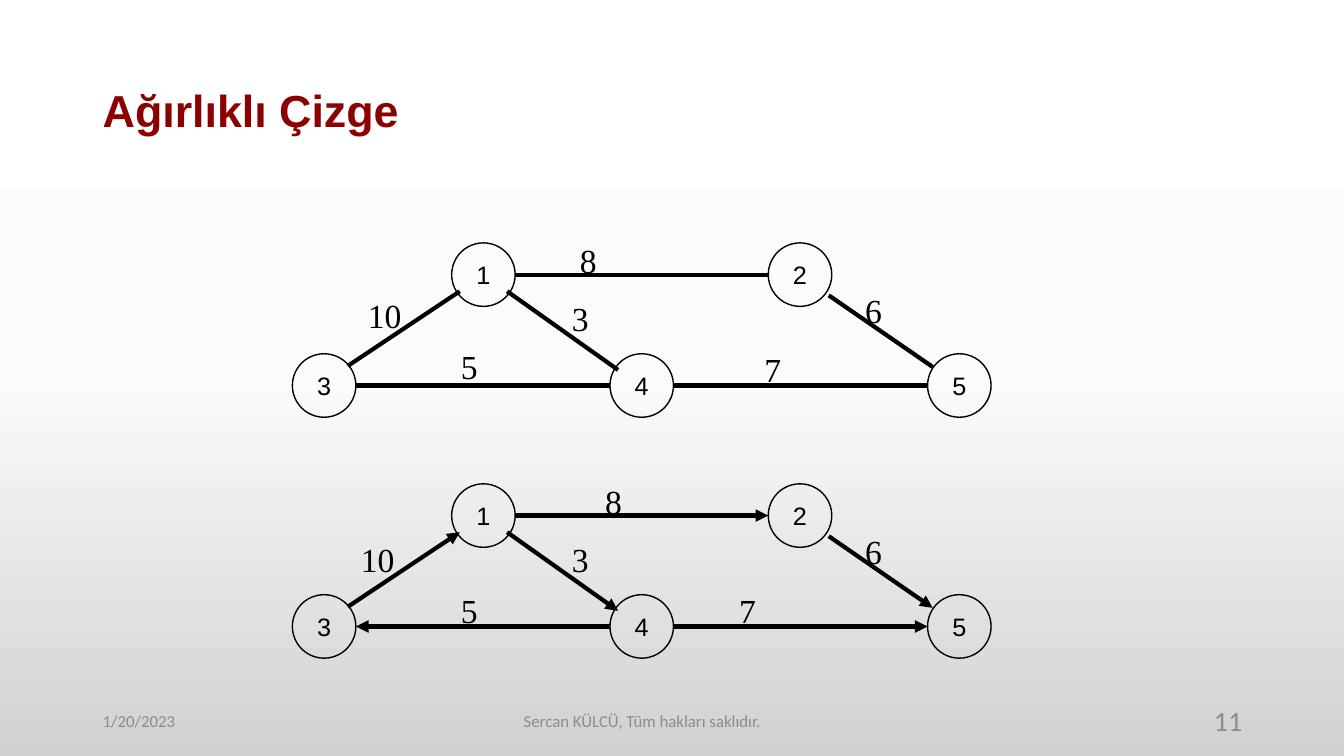
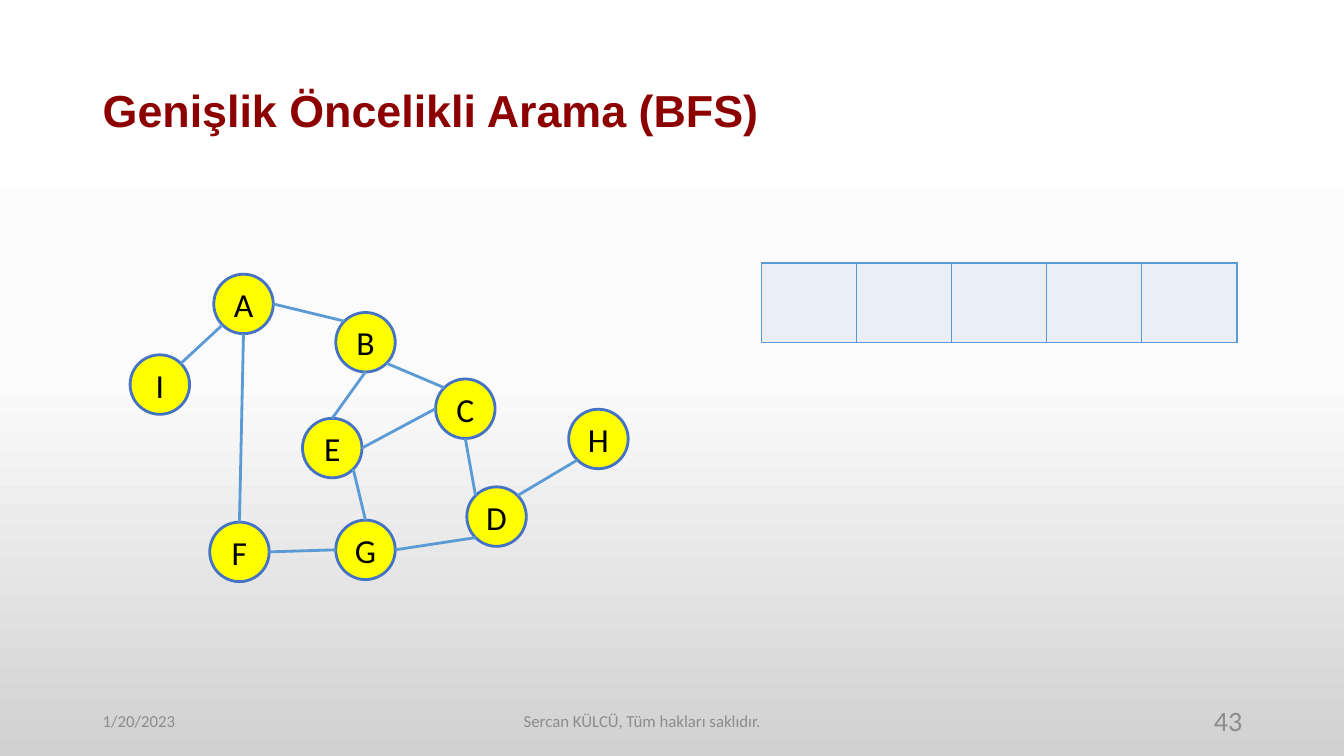
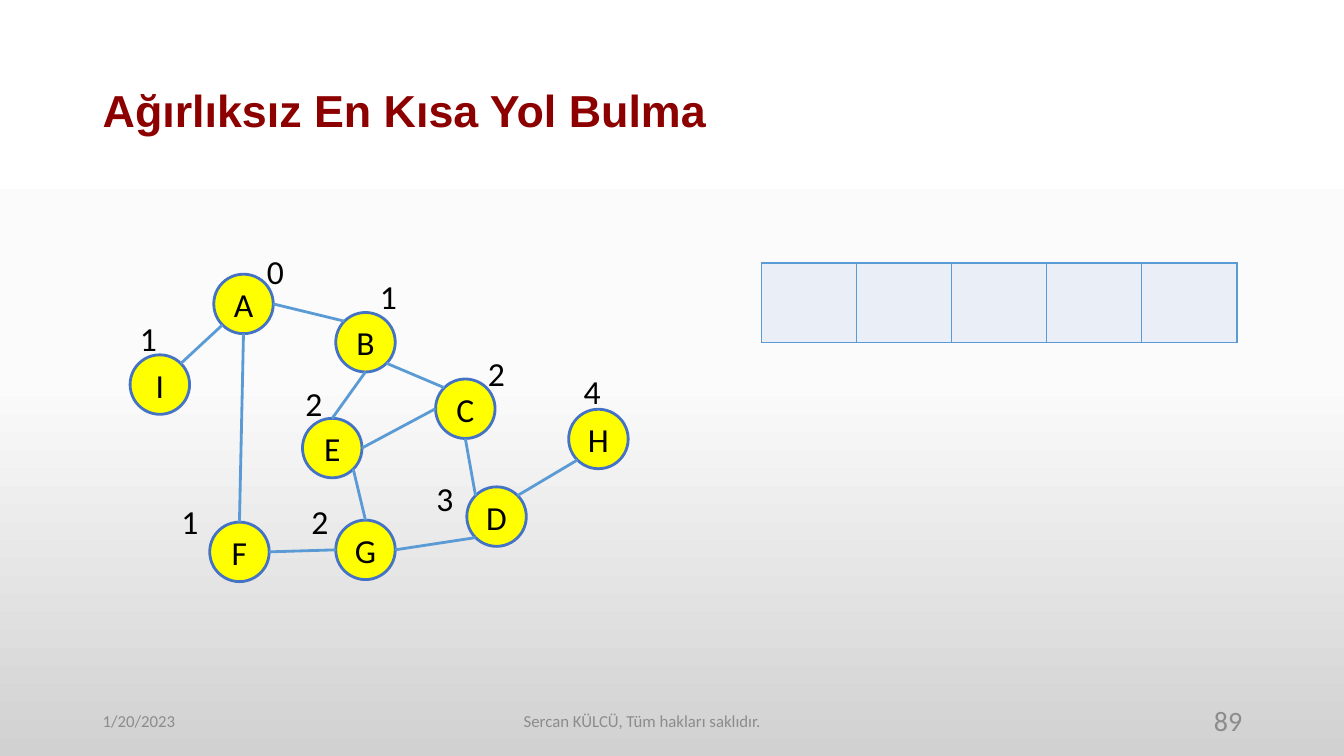
import copy
import math

from lxml import etree
from pptx import Presentation
from pptx.dml.color import RGBColor
from pptx.enum import shapes, text
from pptx.oxml.ns import qn
from pptx.util import Inches, Pt

BLACK = RGBColor(0x00, 0x00, 0x00)
DARK_RED = RGBColor(0x8C, 0x00, 0x00)
GREY = RGBColor(0x8C, 0x8C, 0x8C)
YELLOW = RGBColor(0xFF, 0xFF, 0x00)
NODE_BLUE = RGBColor(0x44, 0x72, 0xC4)
EDGE_BLUE = RGBColor(0x5B, 0x9B, 0xD5)
CELL_BLUE = RGBColor(0xEA, 0xEF, 0xF7)
BACKDROP = [
    (0, RGBColor(0xFF, 0xFF, 0xFF)),
    (0.5, RGBColor(0xFB, 0xFB, 0xFB)),
    (1, RGBColor(0xD1, 0xD1, 0xD1)),
]

LEFT, CENTER, RIGHT = text.PP_ALIGN.LEFT, text.PP_ALIGN.CENTER, text.PP_ALIGN.RIGHT
SITES = ["top", "top left", "left", "bottom left",
         "bottom", "bottom right", "right", "top right"]

DATE = "1/20/2023"
RIGHTS = "Sercan KÜLCÜ, Tüm hakları saklıdır."

WEIGHTED_SIZE = 0.63
WEIGHTED_NODES = {
    "1": (4.48, 2.41), "4": (6.05, 3.51), "2": (7.62, 2.41),
    "5": (9.2, 3.51), "3": (2.9, 3.51),
}
WEIGHTED_EDGES = [
    ((5.03, 2.89), (6.13, 3.67)),
    (("1", "right"), ("2", "left")),
    ((8.22, 2.93), (9.25, 3.64)),
    (("4", "left"), ("3", "right")),
    (("4", "right"), ("5", "left")),
    ((3.45, 3.63), (4.56, 2.89)),
]
UNDIRECTED_WEIGHTS = [
    ("8", 5.65, 2.33), ("7", 7.48, 3.41), ("10", 3.55, 2.88),
    ("5", 4.47, 3.38), ("3", 5.57, 2.91), ("6", 8.48, 2.83),
]
DIRECTED_WEIGHTS = [
    ("8", 5.9, 2.33), ("7", 7.23, 3.41), ("10", 3.48, 2.91),
    ("5", 4.47, 3.41), ("3", 5.57, 2.91), ("6", 8.48, 2.83),
]
DIRECTED_DROP = 2.39

SEARCH_SIZE = 0.59
SEARCH_NODES = {
    "I": (1.29, 3.52), "A": (2.12, 2.72), "B": (3.33, 3.1),
    "C": (4.32, 3.76), "D": (4.63, 4.83), "H": (5.64, 4.06),
    "G": (3.33, 5.16), "F": (2.08, 5.18), "E": (3, 4.15),
}
SEARCH_EDGES = [
    (("I", "top right"), ("A", "bottom left")),
    (("A", "bottom"), ("F", "top")),
    (("A", "right"), ("B", "top left")),
    (("B", "bottom right"), ("C", "top left")),
    (("B", "bottom"), ("E", "top")),
    (("E", "right"), ("C", "left")),
    (("F", "right"), ("G", "left")),
    (("G", "right"), ("D", "bottom left")),
    (("D", "top right"), ("H", "bottom left")),
    (("E", "bottom right"), ("G", "top")),
    (("C", "bottom"), ("D", "top left")),
]
DISTANCES = [
    ("1", 1.29, 3.1), ("1", 3.67, 2.69), ("1", 1.7, 4.92),
    ("2", 2.99, 4.92), ("3", 4.23, 4.69), ("4", 5.69, 3.63),
    ("2", 4.74, 3.45), ("2", 2.93, 3.75), ("0", 2.55, 2.44),
]
QUEUE_CELLS = 5


def write(shape, content, *, size, font="Calibri", color=BLACK, bold=False,
          align=LEFT, middle=True, wrap=True, spacing=None):
    frame = shape.text_frame
    frame.word_wrap = wrap
    frame.vertical_anchor = text.MSO_ANCHOR.MIDDLE if middle else text.MSO_ANCHOR.TOP
    paragraph = frame.paragraphs[0]
    paragraph.text = content
    paragraph.alignment = align
    paragraph.line_spacing = spacing
    paragraph.font.name = font
    paragraph.font.size = Pt(size)
    paragraph.font.bold = bold
    paragraph.font.color.rgb = color


def add_label(slide, content, left, top, width, height, **style):
    box = slide.shapes.add_textbox(*map(Inches, (left, top, width, height)))
    write(box, content, **style)


def add_node(slide, name, left, top, diameter, fill, line, line_width, **style):
    node = slide.shapes.add_shape(
        shapes.MSO_SHAPE.OVAL, *map(Inches, (left, top, diameter, diameter)))
    node.shadow.inherit = False
    if fill is None:
        node.fill.background()
    else:
        node.fill.solid()
        node.fill.fore_color.rgb = fill
    node.line.color.rgb = line
    node.line.width = Pt(line_width)
    write(node, name, align=CENTER, **style)
    return node


def site_point(node, site):
    angle = math.radians(90 + 45 * SITES.index(site))
    radius = node.width / 2
    return (round(node.left + radius * (1 + math.cos(angle))),
            round(node.top + radius * (1 - math.sin(angle))))


def add_edge(slide, nodes, ends, color, width, drop=0, arrow=False):
    points, joints = [], []
    for tag, (first, second) in zip(("a:stCxn", "a:endCxn"), ends):
        if first in nodes:
            points += site_point(nodes[first], second)
            joints.append((tag, nodes[first].shape_id, SITES.index(second)))
        else:
            points += [Inches(first), Inches(second + drop)]
    edge = slide.shapes.add_connector(shapes.MSO_CONNECTOR.STRAIGHT, *points)
    edge.line.color.rgb = color
    edge.line.width = Pt(width)
    properties = edge.element.spPr
    if arrow:
        etree.SubElement(properties.find(qn("a:ln")), qn("a:tailEnd"), type="triangle")
    etree.SubElement(properties, qn("a:effectLst"))
    joining = edge.element.find(".//" + qn("p:cNvCxnSpPr"))
    for tag, node_id, site in joints:
        etree.SubElement(joining, qn(tag), id=str(node_id), idx=str(site))


def add_weighted_graph(slide, weights, drop=0, arrow=False):
    nodes = {
        name: add_node(slide, name, left, top + drop, WEIGHTED_SIZE, None, BLACK, 1,
                       size=18, font="Arial", wrap=False)
        for name, (left, top) in WEIGHTED_NODES.items()
    }
    for ends in WEIGHTED_EDGES:
        add_edge(slide, nodes, ends, BLACK, 3, drop, arrow)
    for weight, left, top in weights:
        add_label(slide, weight, left, top + drop, 0.21 + 0.16 * len(weight), 0.5,
                  size=24, font="Times New Roman", align=CENTER, middle=False, wrap=False)


def add_search_graph(slide):
    nodes = {
        name: add_node(slide, name, left, top, SEARCH_SIZE, YELLOW, NODE_BLUE, 2, size=24)
        for name, (left, top) in SEARCH_NODES.items()
    }
    for ends in SEARCH_EDGES:
        add_edge(slide, nodes, ends, EDGE_BLUE, 2)


def add_queue(slide):
    queue = slide.shapes.add_table(
        1, QUEUE_CELLS, *map(Inches, (7.55, 2.61, 4.72, 0.79))).table
    queue.first_row = queue.horz_banding = False
    for cell in queue.iter_cells():
        borders = cell._tc.get_or_add_tcPr()
        for side in ("a:lnL", "a:lnR", "a:lnT", "a:lnB"):
            border = etree.SubElement(borders, qn(side), w=str(Pt(1)))
            paint = etree.SubElement(border, qn("a:solidFill"))
            etree.SubElement(paint, qn("a:srgbClr"), val=str(EDGE_BLUE))
        cell.fill.solid()
        cell.fill.fore_color.rgb = CELL_BLUE


def paint_backdrop(master):
    fill = master.background.fill
    fill.gradient()
    fill.gradient_angle = 270
    stops = master.element.find(".//" + qn("a:gsLst"))
    stops.append(copy.deepcopy(stops[0]))
    for stop, (position, color) in zip(fill.gradient_stops, BACKDROP):
        stop.position = position
        stop.color.rgb = color


def add_slide(deck, title, number):
    slide = deck.slides.add_slide(deck.slide_layouts[6])
    add_label(slide, title, 0.92, 0.4, 11.5, 1.45,
              size=32, font="Arial", color=DARK_RED, bold=True, spacing=0.9)
    add_label(slide, DATE, 0.92, 6.95, 3, 0.4, size=12, color=GREY)
    add_label(slide, RIGHTS, 2.58, 6.95, 7.58, 0.4, size=12, color=GREY, align=CENTER)
    add_label(slide, number, 9.42, 6.95, 3, 0.4, size=20, color=GREY, align=RIGHT)
    return slide


def main():
    deck = Presentation()
    deck.slide_width, deck.slide_height = Inches(13.33), Inches(7.5)
    paint_backdrop(deck.slide_master)

    weighted = add_slide(deck, "Ağırlıklı Çizge", "11")
    add_weighted_graph(weighted, UNDIRECTED_WEIGHTS)
    add_weighted_graph(weighted, DIRECTED_WEIGHTS, DIRECTED_DROP, arrow=True)

    breadth_first = add_slide(deck, "Genişlik Öncelikli Arama (BFS)", "43")
    shortest = add_slide(deck, "Ağırlıksız En Kısa Yol Bulma", "89")
    for slide in (breadth_first, shortest):
        add_search_graph(slide)
        add_queue(slide)
    for distance, left, top in DISTANCES:
        add_label(shortest, distance, left, top, 0.24, 0.5, size=24, middle=False)

    deck.save("out.pptx")


if __name__ == "__main__":
    main()
